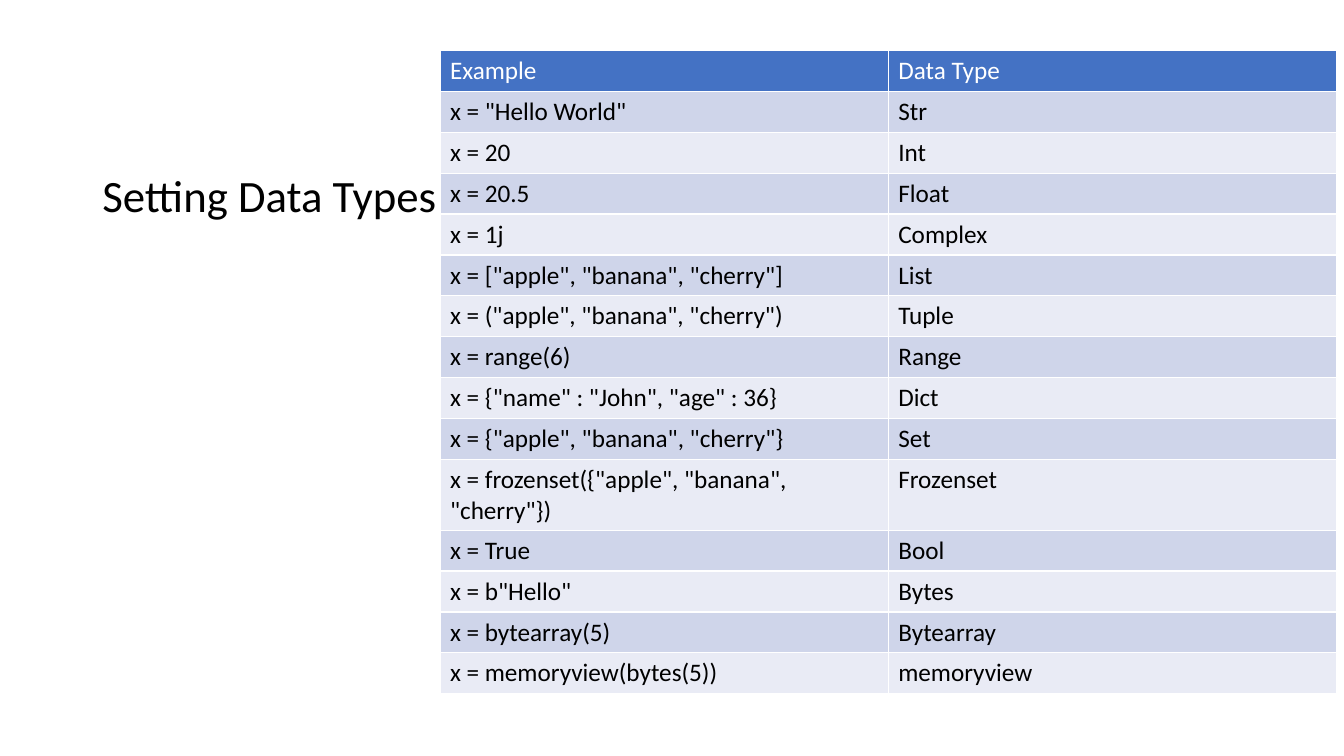
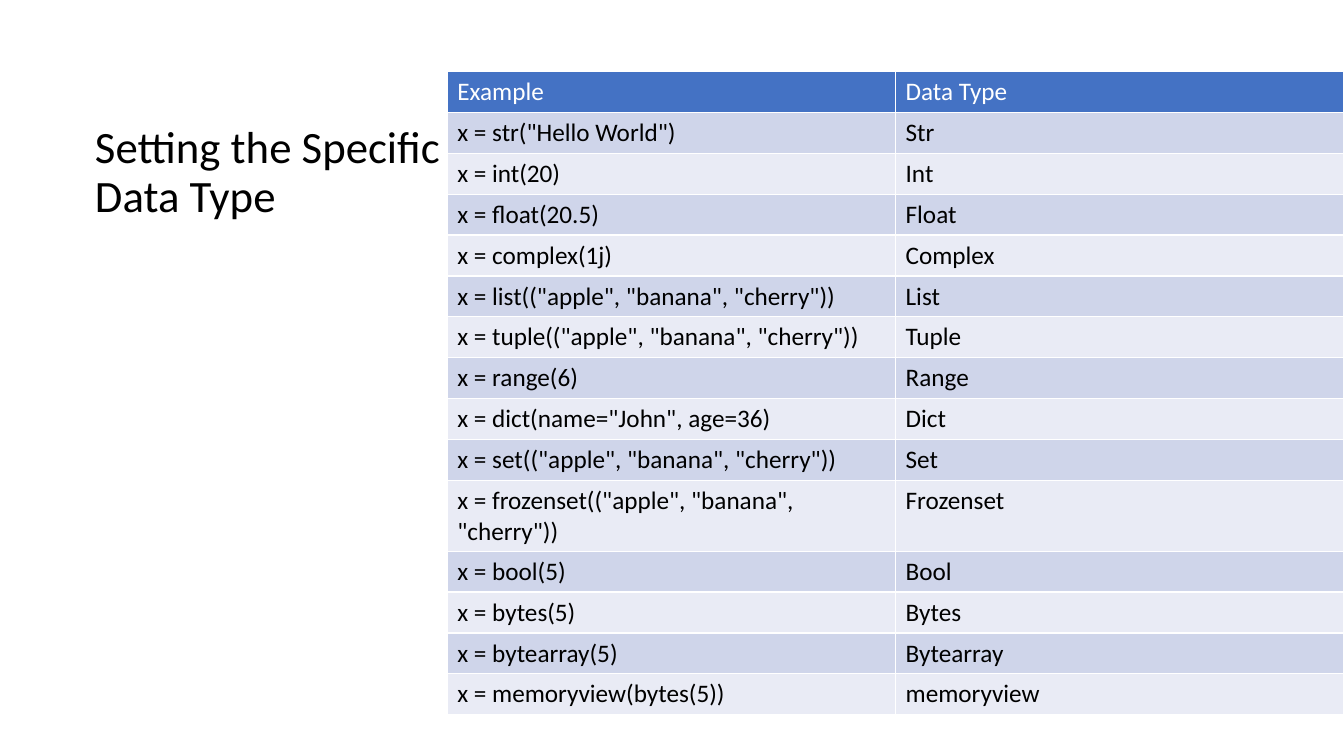
from pptx import Presentation
from pptx.dml.color import RGBColor
from pptx.enum.text import MSO_VERTICAL_ANCHOR as Anchor
from pptx.util import Pt

EMU_PER_PX = 9525


def px(n):
    return n * EMU_PER_PX


def rgb(value):
    return RGBColor.from_string(value)


class Deck:
    FONT = "Calibri"
    INK = "000000"
    WHITE = "FFFFFF"
    HEADER = "4472C4"
    BANDS = ("CFD5EA", "E9EBF5")
    TITLE_SIZE = 32
    CELL_SIZE = 18
    COL_W = 427
    ROW_H = 39

    def __init__(self):
        self.prs = Presentation()
        self.prs.slide_width = px(1280)
        self.prs.slide_height = px(720)
        self.s = None

    def slide(self):
        self.s = self.prs.slides.add_slide(self.prs.slide_layouts[6])
        fill = self.s.background.fill
        fill.solid()
        fill.fore_color.rgb = rgb(self.WHITE)

    def run(self, p, text, size, color):
        r = p.add_run()
        r.text = text
        r.font.name = self.FONT
        r.font.size = Pt(size)
        r.font.bold = False
        r.font.color.rgb = rgb(color)

    def title(self, text, x):
        sp = self.s.shapes.add_textbox(px(x), px(48), px(413), px(168))
        tf = sp.text_frame
        tf.word_wrap = True
        tf.vertical_anchor = Anchor.BOTTOM
        p = tf.paragraphs[0]
        p.line_spacing = 0.9
        self.run(p, text, self.TITLE_SIZE, self.INK)

    def table(self, rows, x, y):
        n_cols = len(rows[0])
        frame = self.s.shapes.add_table(
            len(rows), n_cols, px(x), px(y),
            px(self.COL_W * n_cols), px(self.ROW_H * len(rows)))
        table = frame.table
        for col in table.columns:
            col.width = px(self.COL_W)
        for i, row in enumerate(rows):
            table.rows[i].height = px(self.ROW_H)
            fill = self.BANDS[(i - 1) % 2] if i else self.HEADER
            color = self.INK if i else self.WHITE
            for j, text in enumerate(row):
                cell = table.cell(i, j)
                cell.fill.solid()
                cell.fill.fore_color.rgb = rgb(fill)
                p = cell.text_frame.paragraphs[0]
                self.run(p, text, self.CELL_SIZE, color)

    def save(self):
        self.prs.save("out.pptx")


HEADINGS = ("Example", "Data Type")
TYPES = ("Str", "Int", "Float", "Complex", "List", "Tuple", "Range", "Dict",
         "Set", "Frozenset", "Bool", "Bytes", "Bytearray", "memoryview")

LITERALS = (
    'x = "Hello World"',
    'x = 20',
    'x = 20.5',
    'x = 1j',
    'x = ["apple", "banana", "cherry"]',
    'x = ("apple", "banana", "cherry")',
    'x = range(6)',
    'x = {"name" : "John", "age" : 36}',
    'x = {"apple", "banana", "cherry"}',
    'x = frozenset({"apple", "banana", "cherry"})',
    'x = True',
    'x = b"Hello"',
    'x = bytearray(5)',
    'x = memoryview(bytes(5))',
)

CONSTRUCTORS = (
    'x = str("Hello World")',
    'x = int(20)',
    'x = float(20.5)',
    'x = complex(1j)',
    'x = list(("apple", "banana", "cherry"))',
    'x = tuple(("apple", "banana", "cherry"))',
    'x = range(6)',
    'x = dict(name="John", age=36)',
    'x = set(("apple", "banana", "cherry"))',
    'x = frozenset(("apple", "banana", "cherry"))',
    'x = bool(5)',
    'x = bytes(5)',
    'x = bytearray(5)',
    'x = memoryview(bytes(5))',
)

SLIDES = (
    ("Setting Data Types", 88, LITERALS, 419, 48),
    ("Setting the Specific Data Type", 81, CONSTRUCTORS, 426, 68),
)


def main():
    deck = Deck()
    for title, title_x, examples, table_x, table_y in SLIDES:
        deck.slide()
        deck.title(title, title_x)
        deck.table([HEADINGS, *zip(examples, TYPES)], table_x, table_y)
    deck.save()


if __name__ == "__main__":
    main()
